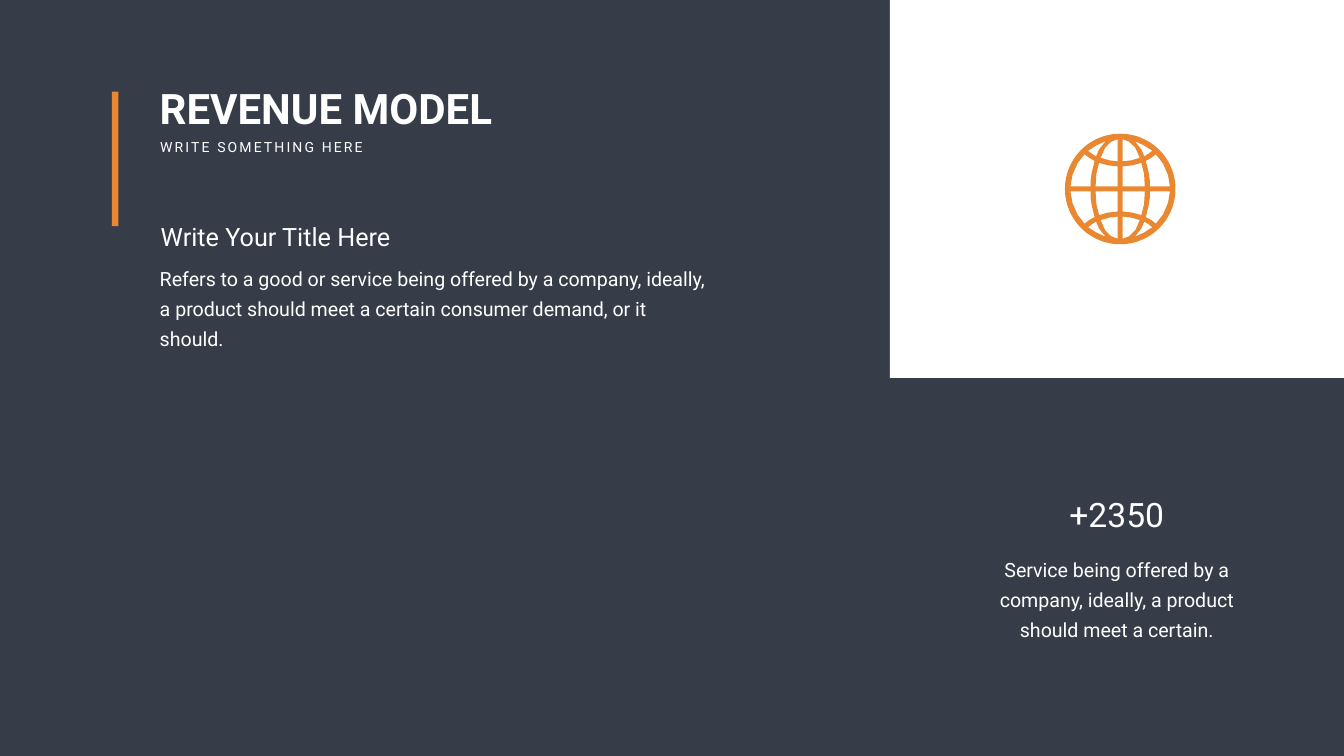
from math import cos, pi, sin

from pptx import Presentation
from pptx import util as u
from pptx.dml.color import RGBColor
from pptx.enum import shapes, text

COLOURS = {"background": "363D48", "panel": "FFFFFF", "accent": "EA8831", "text": "FFFFFF"}
FONT = "Roboto"
LEADING = 43

GLOBE_UNIT = 1100
GLOBE_CELLS = [
    [(50, 50), (490, 50), (475, 300), (420, 520), (240, 470), (50, 450)],
    [(50, 550), (220, 570), (390, 620), (300, 820), (180, 940), (50, 990)],
    [(640, 760), (560, 700), (480, 650), (420, 790), (290, 950), (470, 870)],
    [(990, 50), (590, 50), (590, 170), (570, 310), (510, 560),
     (620, 620), (710, 690), (850, 510), (950, 280)],
]


def paint(shape, colour):
    """Give a shape a flat fill without line or shadow."""
    shape.shadow.inherit = False
    shape.fill.solid()
    shape.fill.fore_color.rgb = RGBColor.from_string(COLOURS[colour])
    shape.line.fill.background()


def add_block(slide, left, top, width, height, colour):
    """Add a plain rectangle, measured in centimetres."""
    box = [u.Cm(length) for length in (left, top, width, height)]
    paint(slide.shapes.add_shape(shapes.MSO_SHAPE.RECTANGLE, *box), colour)


def add_text(slide, words, left, top, width, height, size=28, bold=False, centred=False,
             leading=None, tracking=None, wrap=True, inset=(0.25, 0.13)):
    """Add a text box, measured in centimetres, in the given format."""
    box = [u.Cm(length) for length in (left, top, width, height)]
    frame = slide.shapes.add_textbox(*box).text_frame
    frame.word_wrap = wrap
    frame.auto_size = text.MSO_AUTO_SIZE.SHAPE_TO_FIT_TEXT
    frame.margin_left = frame.margin_right = u.Cm(inset[0])
    frame.margin_top = frame.margin_bottom = u.Cm(inset[1])
    paragraph = frame.paragraphs[0]
    paragraph.alignment = text.PP_ALIGN.CENTER if centred else text.PP_ALIGN.LEFT
    if leading:
        paragraph.line_spacing = u.Pt(leading)
    run = paragraph.add_run()
    run.text = words
    run.font.name = FONT
    run.font.size = u.Pt(size)
    run.font.bold = bold
    run.font.color.rgb = RGBColor.from_string(COLOURS["text"])
    if tracking:
        run._r.get_or_add_rPr().set("spc", str(tracking * 100))


def add_globe(slide, left, top, size):
    """Draw a globe as a disc with cells mirrored into its four quadrants."""
    steps = 96
    rim = [(GLOBE_UNIT * cos(2 * pi * step / steps), GLOBE_UNIT * sin(2 * pi * step / steps))
           for step in range(steps)]
    builder = slide.shapes.build_freeform(*rim[0], scale=u.Cm(size) / (2 * GLOBE_UNIT))
    builder.add_line_segments(rim[1:], close=True)
    for across, down in [(1, 1), (1, -1), (-1, 1), (-1, -1)]:
        for cell in GLOBE_CELLS:
            points = [(across * x, down * y) for x, y in cell]
            builder.move_to(*points[0])
            builder.add_line_segments(points[1:], close=True)
    globe = builder.convert_to_shape(u.Cm(left + size / 2), u.Cm(top + size / 2))
    paint(globe, "accent")


def add_icon_panel(slide, left, top, width, height):
    """Place the white panel with its globe."""
    add_block(slide, left, top, width, height, "panel")
    add_globe(slide, left + 8.82, top + 6.74, 5.57)


def add_heading(slide, left, top):
    """Place the accent bar, the title and the subtitle."""
    add_text(slide, "REVENUE MODEL", left + 2.16, top - 0.58, 26.39, 2.82, size=60, bold=True)
    add_text(slide, "WRITE SOMETHING HERE", left + 2.18, top + 2.24, 11.05, 1.12,
             size=20, tracking=3, wrap=False)
    add_block(slide, left, top, 0.33, 6.78, "accent")


def add_description(slide, left, top):
    """Place the section title above its paragraph."""
    add_text(slide, "Refers to a good or service being offered by a company, ideally, "
             "a product should meet a certain consumer demand, or it should.",
             left, top + 1.8, 29.08, 3.53, leading=LEADING, inset=(0.61, 0.3))
    add_text(slide, "Write Your Title Here", left + 0.41, top, 14.4, 1.8, size=36)


def add_figure(slide, left, top, width):
    """Place the key figure centred above its caption."""
    add_text(slide, "+2350", left + 0.42, top, width - 0.84, 2.31, size=48, centred=True)
    add_text(slide, "Service being offered by a company, ideally, "
             "a product should meet a certain.",
             left, top + 2.9, width, 4.72, centred=True, leading=LEADING)


def main():
    """Build the slide and save it."""
    presentation = Presentation()
    presentation.slide_width, presentation.slide_height = u.Cm(67.72), u.Cm(38.1)
    slide = presentation.slides.add_slide(presentation.slide_layouts[6])
    slide.background.fill.solid()
    slide.background.fill.fore_color.rgb = RGBColor.from_string(COLOURS["background"])
    add_icon_panel(slide, 44.84, 0, 22.88, 19.05)
    add_figure(slide, 49.88, 24.77, 12.78)
    add_heading(slide, 5.64, 4.62)
    add_description(slide, 7.44, 11)
    presentation.save("out.pptx")


if __name__ == "__main__":
    main()
